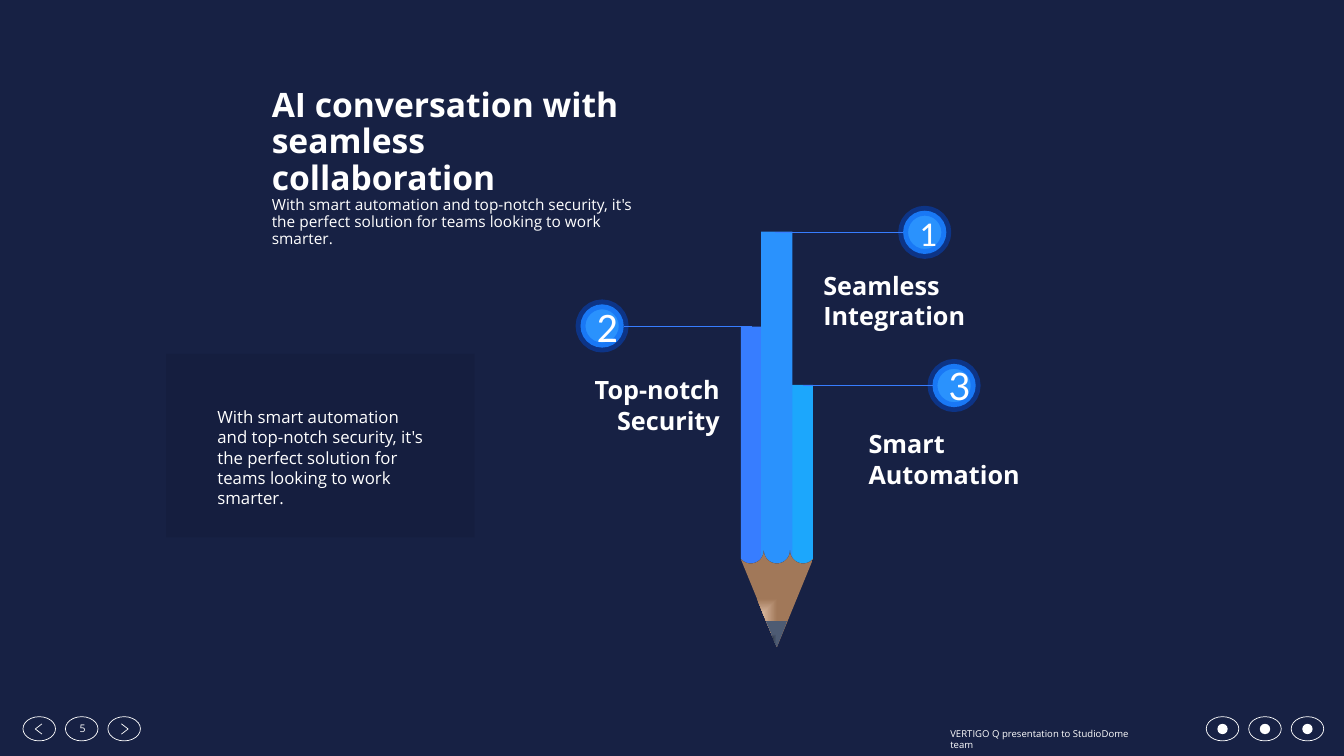
"""Build a dark slide with a three-part pencil diagram and numbered features."""
from math import cos, radians, sin

from lxml.etree import SubElement
from pptx import Presentation
from pptx.dml.color import RGBColor
from pptx.enum.shapes import MSO_CONNECTOR, MSO_SHAPE as Preset
from pptx.enum.text import MSO_ANCHOR as Anchor, PP_ALIGN as Align
from pptx.oxml.ns import qn
from pptx.util import Cm, Pt

rgb = RGBColor.from_string
NAVY, WHITE, BLUE, INDIGO = "172144", "FFFFFF", "2A92FD", "377DFF"
PITCH = "With smart automation and top-notch security, it's the perfect solution for teams looking to work smarter."


def paint(shape, fill=None, line=None, width=0.5):
    shape.shadow.inherit = False
    if fill:
        shape.fill.solid()
        shape.fill.fore_color.rgb = rgb(fill)
    else:
        shape.fill.background()
    if line:
        shape.line.color.rgb = rgb(line)
        shape.line.width = Pt(width)
    else:
        shape.line.fill.background()


def write(frame, text, size, font="Open Sans", bold=False, align=Align.LEFT):
    frame.word_wrap = True
    paragraph = frame.add_paragraph() if frame.text else frame.paragraphs[0]
    paragraph.text = text
    paragraph.alignment = align
    paragraph.font.size = Pt(size)
    paragraph.font.name = font
    paragraph.font.bold = bold
    paragraph.font.color.rgb = rgb(WHITE)
    return paragraph


deck = Presentation()
deck.slide_width, deck.slide_height = Cm(33.87), Cm(19.05)
slide = deck.slides.add_slide(deck.slide_layouts[6])
slide.background.fill.solid()
slide.background.fill.fore_color.rgb = rgb(NAVY)
shapes = slide.shapes

page = shapes.add_textbox(Cm(1.88), Cm(18.06), Cm(0.36), Cm(0.61)).text_frame
write(page, "5", 7.5, align=Align.CENTER)
page.word_wrap = False
page.vertical_anchor = Anchor.MIDDLE
page.margin_left = page.margin_right = Cm(0.13)
page.margin_top = page.margin_bottom = Cm(0.08)

for group_left in (0.58, 30.4):
    for place in range(3):
        button = shapes.add_shape(Preset.OVAL, Cm(group_left + 1.07 * place), Cm(18.06), Cm(0.82), Cm(0.61))
        paint(button, line=WHITE)

for tip_x, tail_x in ((0.89, 1.06), (3.23, 3.06)):
    builder = shapes.build_freeform(Cm(tail_x), Cm(18.24))
    builder.add_line_segments([(Cm(tip_x), Cm(18.37)), (Cm(tail_x), Cm(18.5))], close=False)
    paint(builder.convert_to_shape(), line=WHITE)

for place in range(3):
    social = shapes.add_shape(Preset.OVAL, Cm(30.68 + 1.07 * place), Cm(18.24), Cm(0.26), Cm(0.26))
    paint(social, WHITE)

footer = shapes.add_textbox(Cm(23.7), Cm(18.21), Cm(5.18), Cm(0.53))
write(footer.text_frame, "VERTIGO Q presentation to StudioDome team", 6.8)

for left, top, width, height, color in (
    (19.91, 9.7, 0.58, 5.89, "1CA7FC"),
    (18.67, 8.23, 0.58, 7.8, INDIGO),
    (19.18, 5.84, 0.79, 10.9, BLUE),
):
    bar = shapes.add_shape(Preset.RECTANGLE, Cm(left), Cm(top), Cm(width), Cm(height))
    paint(bar, color)

scallops = []
for center in (18.92, 19.58, 20.24):
    for angle in range(0, 181, 10):
        x = center - 0.33 * cos(radians(angle))
        if 18.66 < x < 20.5:
            scallops.append((x, 13.87 + 0.33 * sin(radians(angle))))

tip = (19.58, 16.31)
surround = [(20.75, 14.07), (20.75, 19.38), (19.4, 19.89), (18.36, 19.53), (18.19, 17), (18.39, 14.07)]
for outline, stops in (
    (scallops + surround, None),
    (scallops + [tip], ((0.48, "E7C8B1"), (1, "A17859"))),
    ([(19.3, 15.65), (19.84, 15.65), tip], ((0.45, "272E3A"), (1, "4D5B73"))),
):
    points = [(Cm(x), Cm(y)) for x, y in outline]
    builder = shapes.build_freeform(*points[0])
    builder.add_line_segments(points[1:])
    piece = builder.convert_to_shape()
    paint(piece, NAVY)
    if stops:
        piece.fill.gradient()
        for stop, (position, color) in zip(piece.fill.gradient_stops, stops):
            stop.position = position
            stop.color.rgb = rgb(color)
        gradient = piece.element.spPr.find(qn("a:gradFill"))
        gradient.remove(gradient.find(qn("a:lin")))
        focus = SubElement(gradient, qn("a:path"), {"path": "rect"})
        SubElement(focus, qn("a:fillToRect"), l="0", t="100000", r="100000", b="0")

for number, size, font, left, top, start, end, label, label_left, label_top, align in (
    ("2", 30, "Calibri", 14.63, 7.67, 15.72, 18.95, "Top-notch Security", 12.78, 9.32, Align.RIGHT),
    ("3", 27, "Lato", 23.5, 9.17, 23.5, 20.24, "Smart Automation", 21.64, 10.68, Align.LEFT),
    ("1", 24.8, "Calibri", 22.76, 5.31, 22.76, 19.53, "Seamless Integration", 20.5, 6.69, Align.LEFT),
):
    badge = shapes.add_shape(Preset.OVAL, Cm(left), Cm(top), Cm(1.09), Cm(1.09))
    paint(badge, BLUE, "0051E9", 7)
    ring = badge.element.spPr.find(qn("a:ln")).find(".//" + qn("a:srgbClr"))
    SubElement(ring, qn("a:alpha"), val="40000")
    badge.text_frame.vertical_anchor = Anchor.MIDDLE
    write(badge.text_frame, number, size, font, align=Align.CENTER)

    level = Cm(top + 0.55)
    leader = shapes.add_connector(MSO_CONNECTOR.STRAIGHT, Cm(start), level, Cm(end), level)
    leader.line.color.rgb = rgb(INDIGO)
    leader.line.width = Pt(0.5)
    SubElement(leader.element.spPr, qn("a:effectLst"))

    feature = shapes.add_textbox(Cm(label_left), Cm(label_top), Cm(5.61), Cm(1.79))
    write(feature.text_frame, label, 18, bold=True, align=align)

heading = shapes.add_textbox(Cm(6.6), Cm(2.11), Cm(10.1), Cm(2.51)).text_frame
write(heading, "AI conversation with seamless collaboration", 24, bold=True).line_spacing = 0.9
write(heading, PITCH, 11).line_spacing = 0.9

card = shapes.add_shape(Preset.RECTANGLE, Cm(4.19), Cm(8.92), Cm(7.77), Cm(4.62))
paint(card, "141C3A")
SubElement(card.element.spPr.find(".//" + qn("a:srgbClr")), qn("a:alpha"), val="42000")
summary = shapes.add_textbox(Cm(5.23), Cm(10.13), Cm(5.92), Cm(2.31))
write(summary.text_frame, PITCH, 12)

deck.save("out.pptx")
